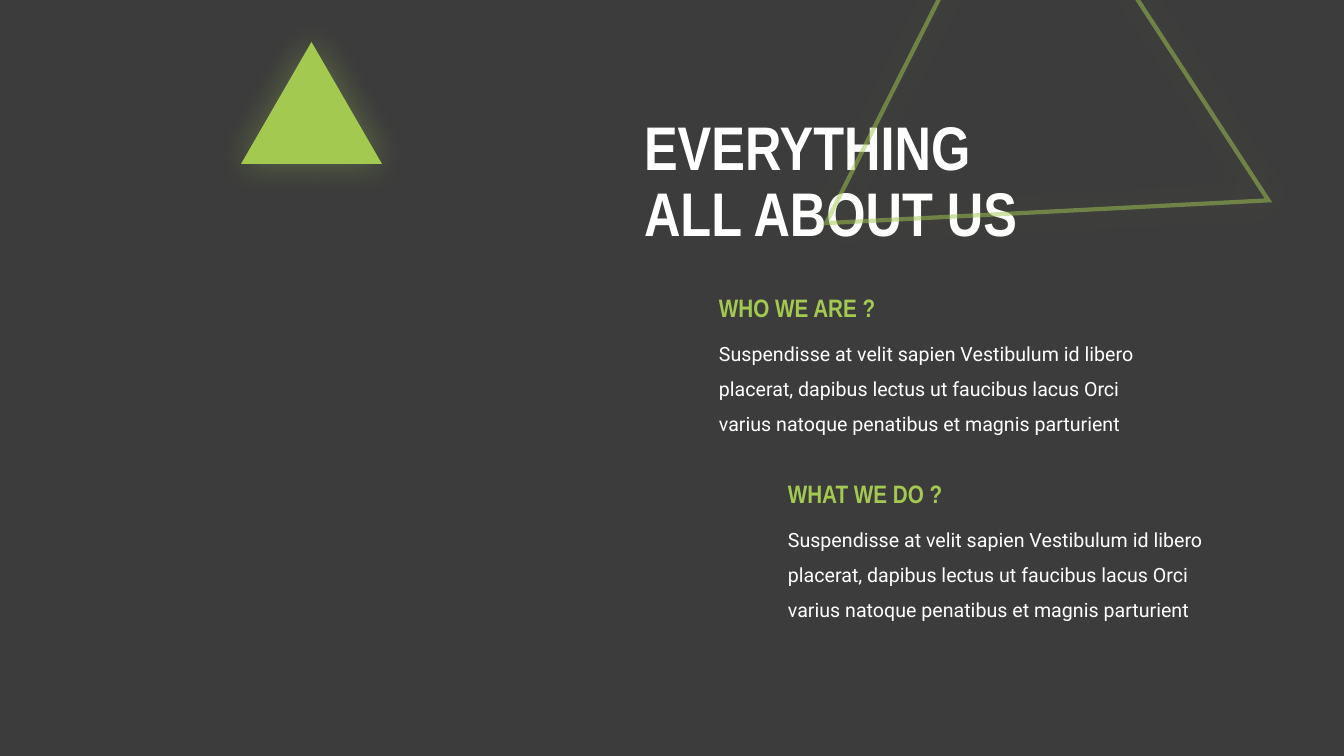
from dataclasses import dataclass

from lxml import etree
from pptx import Presentation
from pptx.dml.color import RGBColor
from pptx.enum.shapes import MSO_SHAPE
from pptx.enum.text import MSO_ANCHOR, MSO_AUTO_SIZE, PP_ALIGN
from pptx.oxml.ns import qn
from pptx.slide import Slide
from pptx.text.text import TextFrame, _Paragraph
from pptx.util import Emu, Inches, Pt

TRIANGLE = MSO_SHAPE.ISOSCELES_TRIANGLE
MIDDLE = MSO_ANCHOR.MIDDLE
LEFT = PP_ALIGN.LEFT
FIXED_SIZE = MSO_AUTO_SIZE.NONE
GROW = MSO_AUTO_SIZE.SHAPE_TO_FIT_TEXT
TITLE_ONLY = 5
PX_PER_INCH = 100.8


@dataclass(frozen=True)
class TextStyle:
    font: str
    size: int
    color: str
    bold: bool
    line_spacing: float


@dataclass(frozen=True)
class Theme:
    background: str = "3C3C3C"
    accent: str = "A3C951"
    title: TextStyle = TextStyle("Arial Narrow", 44, "FFFFFF", True, 0.9)
    heading: TextStyle = TextStyle("Arial Narrow", 18, "A3C951", True, 1.0)
    body: TextStyle = TextStyle("Roboto", 14, "FFFFFF", False, 1.5)
    outline_width: int = 3
    outline_opacity: int = 50
    glow_blur: int = 25
    glow_opacity: int = 35


@dataclass(frozen=True)
class Box:
    left: int
    top: int
    width: int
    height: int

    def emu(self) -> tuple[Emu, Emu, Emu, Emu]:
        return px(self.left), px(self.top), px(self.width), px(self.height)


@dataclass(frozen=True)
class Triangle:
    box: Box
    rotation: float
    filled: bool


@dataclass(frozen=True)
class Section:
    left: int
    top: int
    heading: str
    body: str


THEME = Theme()
TITLE_BOX = Box(634, 104, 566, 159)
TITLE_LINES = ("EVERYTHING", "ALL ABOUT US")
TRIANGLES = (
    Triangle(Box(764, -73, 445, 383), 236.9, False),
    Triangle(Box(241, 42, 141, 122), 0, True),
)
BODY_OFFSET = 38
ABOUT_TEXT = (
    "Suspendisse at velit sapien Vestibulum id libero placerat, "
    "dapibus lectus ut faucibus lacus Orci varius natoque penatibus "
    "et magnis parturient"
)
SECTIONS = (
    Section(709, 287, "WHO WE ARE ?", ABOUT_TEXT),
    Section(778, 473, "WHAT WE DO ?", ABOUT_TEXT),
)


def px(value: int) -> Emu:
    return Emu(round(value * Inches(1) / PX_PER_INCH))


def rgb(color: str) -> RGBColor:
    return RGBColor.from_string(color)


def add_opacity(color_element: etree._Element, percent: int) -> None:
    etree.SubElement(color_element, qn("a:alpha"), val=str(percent * 1000))


def add_run(paragraph: _Paragraph, text: str, style: TextStyle) -> None:
    run = paragraph.add_run()
    run.text = text
    run.font.name = style.font
    run.font.size = Pt(style.size)
    run.font.bold = style.bold
    run.font.color.rgb = rgb(style.color)


def write_lines(frame: TextFrame, lines: tuple[str, ...], style: TextStyle) -> None:
    frame.word_wrap = True
    paragraph = frame.paragraphs[0]
    paragraph.alignment = LEFT
    paragraph.line_spacing = style.line_spacing
    for index, line in enumerate(lines):
        if index:
            paragraph.add_line_break()
        add_run(paragraph, line, style)


def place_title(slide: Slide) -> None:
    title = slide.shapes.title
    title.left, title.top, title.width, title.height = TITLE_BOX.emu()
    frame = title.text_frame
    frame.auto_size = FIXED_SIZE
    frame.vertical_anchor = MIDDLE
    write_lines(frame, TITLE_LINES, THEME.title)


def add_triangle(slide: Slide, triangle: Triangle) -> None:
    shape = slide.shapes.add_shape(TRIANGLE, *triangle.box.emu())
    shape.rotation = triangle.rotation
    shape.shadow.inherit = False
    if triangle.filled:
        shape.fill.solid()
        shape.fill.fore_color.rgb = rgb(THEME.accent)
        shape.line.fill.background()
    else:
        shape.fill.background()
        shape.line.color.rgb = rgb(THEME.accent)
        shape.line.width = Pt(THEME.outline_width)
        outline = shape.line._get_or_add_ln()
        add_opacity(outline.find(".//" + qn("a:srgbClr")), THEME.outline_opacity)
        etree.SubElement(outline, qn("a:miter"), lim="800000")
    effects = shape._element.spPr.find(qn("a:effectLst"))
    glow = etree.SubElement(
        effects, qn("a:outerShdw"), blurRad=str(Pt(THEME.glow_blur)),
        dist="0", dir="0", algn="ctr", rotWithShape="0",
    )
    glow_color = etree.SubElement(glow, qn("a:srgbClr"), val=THEME.accent)
    add_opacity(glow_color, THEME.glow_opacity)


def add_text(slide: Slide, box: Box, text: str, style: TextStyle) -> None:
    frame = slide.shapes.add_textbox(*box.emu()).text_frame
    frame.auto_size = GROW
    write_lines(frame, (text,), style)


def add_section(slide: Slide, section: Section) -> None:
    body_box = Box(section.left, section.top + BODY_OFFSET, 455, 113)
    heading_box = Box(section.left, section.top, 247, 40)
    add_text(slide, body_box, section.body, THEME.body)
    add_text(slide, heading_box, section.heading, THEME.heading)


def main() -> None:
    deck = Presentation()
    deck.slide_width, deck.slide_height = px(1344), px(756)
    slide = deck.slides.add_slide(deck.slide_layouts[TITLE_ONLY])
    slide.background.fill.solid()
    slide.background.fill.fore_color.rgb = rgb(THEME.background)
    place_title(slide)
    for triangle in TRIANGLES:
        add_triangle(slide, triangle)
    for section in SECTIONS:
        add_section(slide, section)
    deck.save("out.pptx")


if __name__ == "__main__":
    main()
